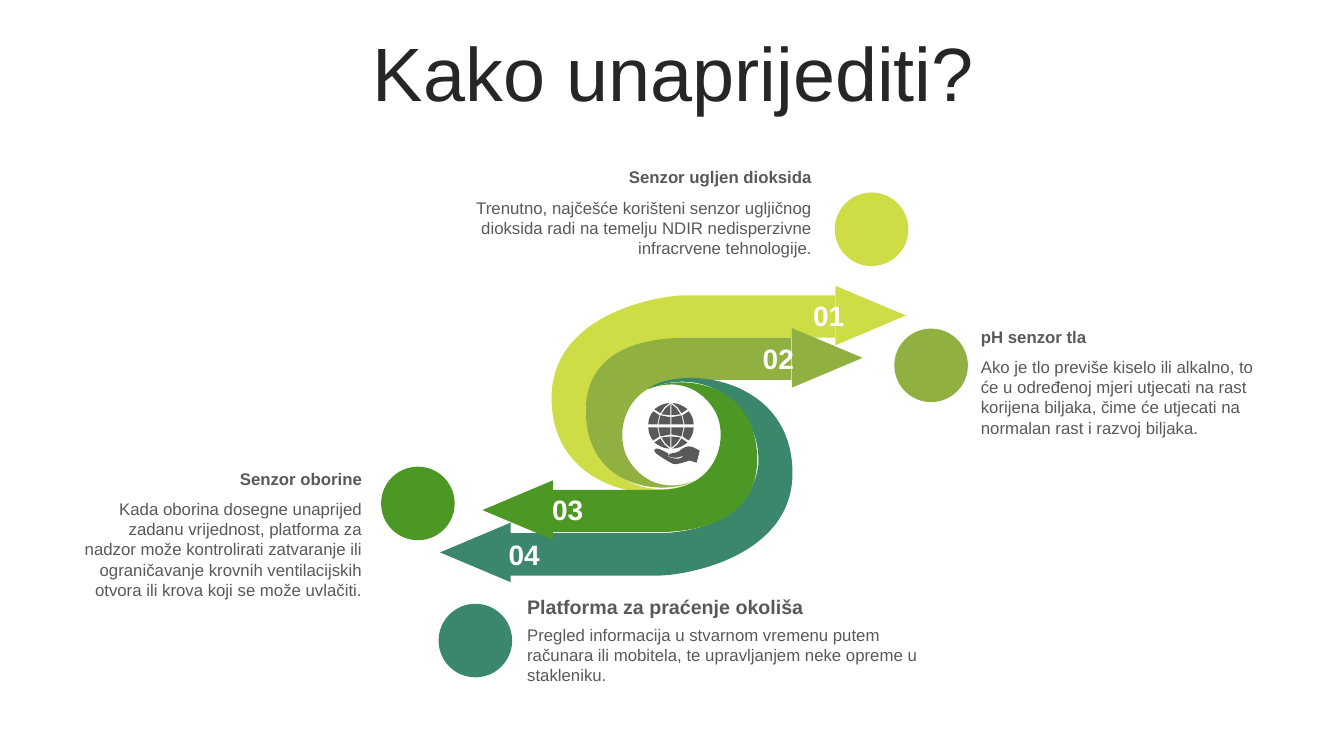
from dataclasses import dataclass
from itertools import product

from lxml.etree import SubElement
from pptx import Presentation
from pptx.dml.color import RGBColor
from pptx.enum.shapes import MSO_SHAPE
from pptx.enum.text import MSO_ANCHOR, PP_ALIGN
from pptx.oxml.ns import qn
from pptx.util import Inches, Pt


@dataclass(frozen=True)
class Theme:
    font: str = "Arial"
    title: str = "262626"
    body: str = "595959"
    white: str = "FFFFFF"
    lime: str = "CEDD46"
    olive: str = "90B141"
    green: str = "4D9724"
    teal: str = "3A876B"
    title_size: int = 54
    number_size: int = 20
    lead_size: int = 14
    body_size: int = 12


THEME = Theme()
DOT = 0.73
HEAD_W, HEAD_H = 0.59, 0.7
NUMBER_W, NUMBER_H = 0.84, 0.44
GLOBE = 0.45
ICON_SIZE = (0.51, 0.61)
OUTER_SIZE = (2.81, 1.96)
INNER_SIZE = (2.04, 1.49)

OUTER_RIBBON = [
    (1.32, 0), (2.81, 0), (2.81, 0.42), (1.33, 0.42),
    (0.87, 0.43, 0.41, 0.6, 0.34, 1.09),
    (0.3, 1.6, 0.79, 2.12, 1.44, 1.85),
    (1.1, 2.1, 0.01, 1.97, 0, 1.03),
    (-0.01, 0.22, 0.98, 0.01, 1.32, 0),
]
INNER_RIBBON = [
    (1.08, 1.42),
    (0.8, 1.57, 0.01, 1.52, 0, 0.73),
    (0, 0.42, 0.15, 0.01, 0.99, 0),
    (2.04, 0), (2.04, 0.42), (0.98, 0.42),
    (0.37, 0.42, 0.27, 0.97, 0.43, 1.22),
    (0.51, 1.35, 0.72, 1.56, 1.08, 1.42),
]
GLOBE_QUARTER = [
    [(0.33, 0.35), (0.39, 0.39), (0.35, 0.42, 0.3, 0.45, 0.25, 0.45),
     (0.24, 0.45), (0.29, 0.41)],
    [(0.23, 0.33), (0.32, 0.34), (0.28, 0.4), (0.23, 0.44)],
    [(0.36, 0.24), (0.45, 0.24), (0.45, 0.29, 0.43, 0.34, 0.4, 0.37), (0.34, 0.33)],
    [(0.23, 0.24), (0.35, 0.24), (0.33, 0.33), (0.23, 0.31)],
]
HAND = [
    (0.41, 0.43), (0.44, 0.43, 0.47, 0.45, 0.51, 0.47),
    (0.48, 0.59), (0.41, 0.57),
    (0.36, 0.58, 0.28, 0.62, 0.24, 0.6),
    (0.2, 0.58, 0.1, 0.52, 0.07, 0.49),
    (0.05, 0.47, 0.06, 0.45, 0.09, 0.45),
    (0.11, 0.45, 0.18, 0.49, 0.2, 0.5),
    (0.17, 0.55, 0.27, 0.55, 0.3, 0.55),
    (0.33, 0.54, 0.34, 0.54, 0.35, 0.52),
    (0.33, 0.53, 0.33, 0.53, 0.29, 0.54),
    (0.23, 0.55, 0.17, 0.52, 0.22, 0.5),
    (0.24, 0.49, 0.26, 0.5, 0.3, 0.48),
    (0.33, 0.46, 0.34, 0.44, 0.39, 0.43),
]

ARROWS = [
    ("01", OUTER_RIBBON, (5.47, 2.93, *OUTER_SIZE), (8.34, 2.78), (7.8, 2.91), THEME.lime, 0),
    ("02", INNER_RIBBON, (5.81, 3.35, *INNER_SIZE), (7.91, 3.2), (7.3, 3.34), THEME.olive, 0),
    ("04", OUTER_RIBBON, (5.05, 3.75, *OUTER_SIZE), (4.42, 5.13), (4.78, 5.28), THEME.teal, 180),
    ("03", INNER_RIBBON, (5.47, 3.79, *INNER_SIZE), (4.84, 4.71), (5.21, 4.84), THEME.green, 180),
]
CAPTIONS = [
    ((4.03, 1.61, 4.12, 1.02), (8.28, 1.91), THEME.lime, PP_ALIGN.RIGHT, THEME.body_size,
     "Senzor ugljen dioksida",
     "Trenutno, najčešće korišteni senzor ugljičnog dioksida radi na temelju NDIR "
     "nedisperzivne infracrvene tehnologije."),
    ((9.63, 3.19, 2.98, 1.21), (8.87, 3.26), THEME.olive, PP_ALIGN.LEFT, THEME.body_size,
     "pH senzor tla",
     "Ako je tlo previše kiselo ili alkalno, to će u određenoj mjeri utjecati na rast "
     "korijena biljaka, čime će utjecati na normalan rast i razvoj biljaka."),
    ((0.72, 4.6, 2.97, 1.41), (3.78, 4.63), THEME.green, PP_ALIGN.RIGHT, THEME.body_size,
     "Senzor oborine",
     "Kada oborina dosegne unaprijed zadanu vrijednost, platforma za nadzor može "
     "kontrolirati zatvaranje ili ograničavanje krovnih ventilacijskih otvora ili krova "
     "koji se može uvlačiti."),
    ((5.13, 5.85, 4.12, 1.01), (4.35, 5.99), THEME.teal, PP_ALIGN.LEFT, THEME.lead_size,
     "Platforma za praćenje okoliša",
     "Pregled informacija u stvarnom vremenu putem računara ili mobitela, te "
     "upravljanjem neke opreme u stakleniku."),
]


def add_text(s, text, box, size=THEME.body_size, color=THEME.body, bold=False,
             align=PP_ALIGN.LEFT, anchor=MSO_ANCHOR.TOP, line_spacing=None):
    tf = s.shapes.add_textbox(*map(Inches, box)).text_frame
    tf.word_wrap = True
    tf.vertical_anchor = anchor
    p = tf.paragraphs[0]
    p.alignment = align
    p.line_spacing = line_spacing
    r = p.add_run()
    r.text = text
    r.font.name = THEME.font
    r.font.size = Pt(size)
    r.font.bold = bold
    r.font.color.rgb = RGBColor.from_string(color)


def paint(sp, color):
    sp.shadow.inherit = False
    sp.fill.solid()
    sp.fill.fore_color.rgb = RGBColor.from_string(color)
    sp.line.fill.background()


def add_preset(s, kind, box, color, rotation=0):
    sp = s.shapes.add_shape(kind, *map(Inches, box))
    sp.rotation = rotation
    paint(sp, color)


def add_step(outline, tag, step):
    segment = SubElement(outline, qn(tag))
    for x, y in zip(step[::2], step[1::2]):
        SubElement(segment, qn("a:pt"), x=str(Inches(x)), y=str(Inches(y)))


def add_outline(s, contours, box, color, rotation=0):
    x, y, w, h = map(Inches, box)
    builder = s.shapes.build_freeform(0, 0, scale=1.0)
    builder.add_line_segments([(w, 0), (w, h), (0, h)], close=True)
    sp = builder.convert_to_shape(x, y)
    outline = sp.element.find(".//" + qn("a:path"))
    for child in list(outline):
        outline.remove(child)
    for start, *steps in contours:
        add_step(outline, "a:moveTo", start)
        for step in steps:
            add_step(outline, "a:lnTo" if len(step) == 2 else "a:cubicBezTo", step)
        SubElement(outline, qn("a:close"))
    sp.rotation = rotation
    paint(sp, color)


def add_arrow(s, ribbon, box, head, color, turn):
    add_outline(s, [ribbon], box, color, turn)
    add_preset(s, MSO_SHAPE.ISOSCELES_TRIANGLE, (*head, HEAD_W, HEAD_H), color, 90 + turn)


def mirror(step, flips):
    return tuple(GLOBE - v if flips[i % 2] else v for i, v in enumerate(step))


def add_globe(s, box):
    panes = [
        [mirror(step, flips) for step in pane]
        for flips, pane in product(product((False, True), repeat=2), GLOBE_QUARTER)
    ]
    add_outline(s, [HAND] + panes, box, THEME.body)


def add_swirl(s):
    for number, ribbon, box, head, label, color, turn in ARROWS:
        add_arrow(s, ribbon, box, head, color, turn)
    for number, ribbon, box, head, label, color, turn in ARROWS:
        add_text(s, number, (*label, NUMBER_W, NUMBER_H), size=THEME.number_size,
                 color=THEME.white, bold=True, align=PP_ALIGN.CENTER)
    add_globe(s, (6.43, 4, *ICON_SIZE))


def add_caption(s, box, dot, color, align, size, heading, body):
    x, y, w, h = box
    add_preset(s, MSO_SHAPE.OVAL, (*dot, DOT, DOT), color)
    add_text(s, heading, (x, y, w, 0.3), size=size, bold=True, align=align)
    add_text(s, body, (x, y + 0.3, w, h - 0.3), align=align)


def main():
    prs = Presentation()
    prs.slide_width, prs.slide_height = Inches(13.33), Inches(7.5)
    s = prs.slides.add_slide(prs.slide_layouts[6])
    add_text(s, "Kako unaprijediti?", (0.35, 0.37, 12.66, 0.79), size=THEME.title_size,
             color=THEME.title, align=PP_ALIGN.CENTER, anchor=MSO_ANCHOR.MIDDLE,
             line_spacing=0.9)
    add_swirl(s)
    for caption in CAPTIONS:
        add_caption(s, *caption)
    prs.save("out.pptx")


if __name__ == "__main__":
    main()
